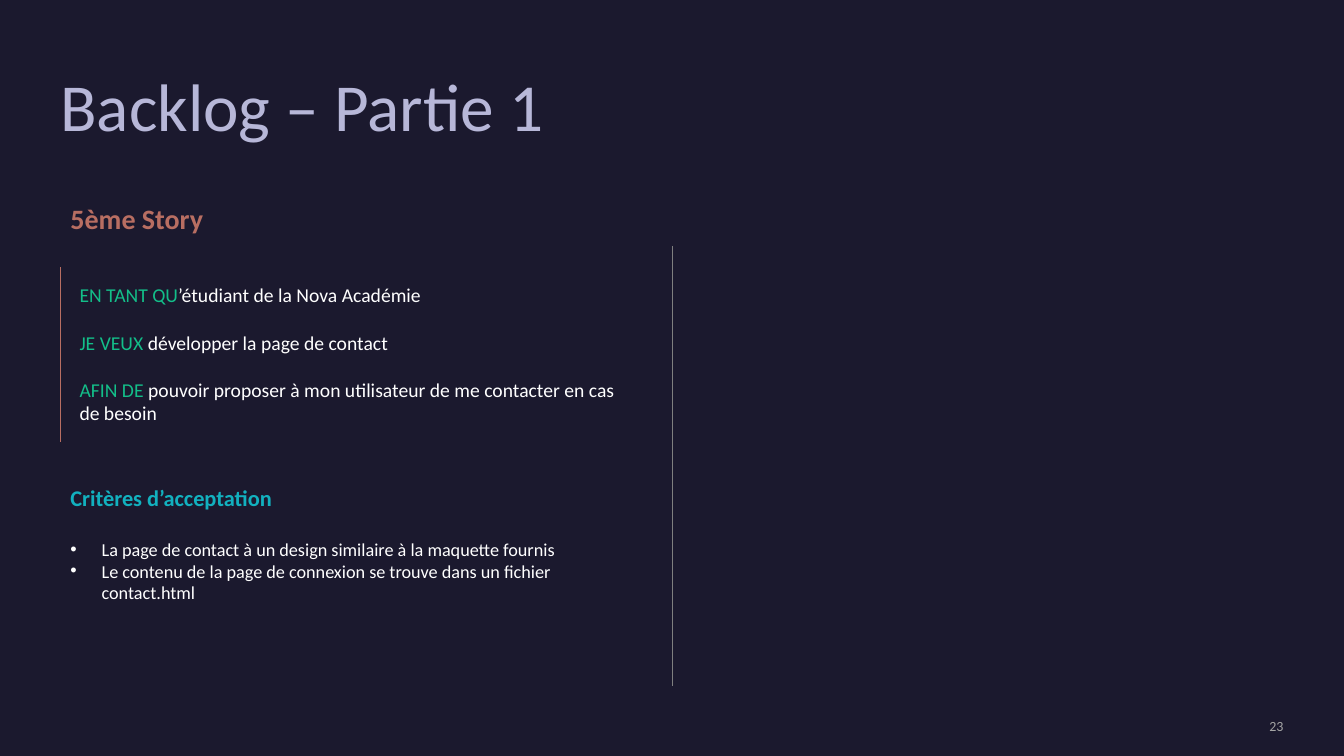
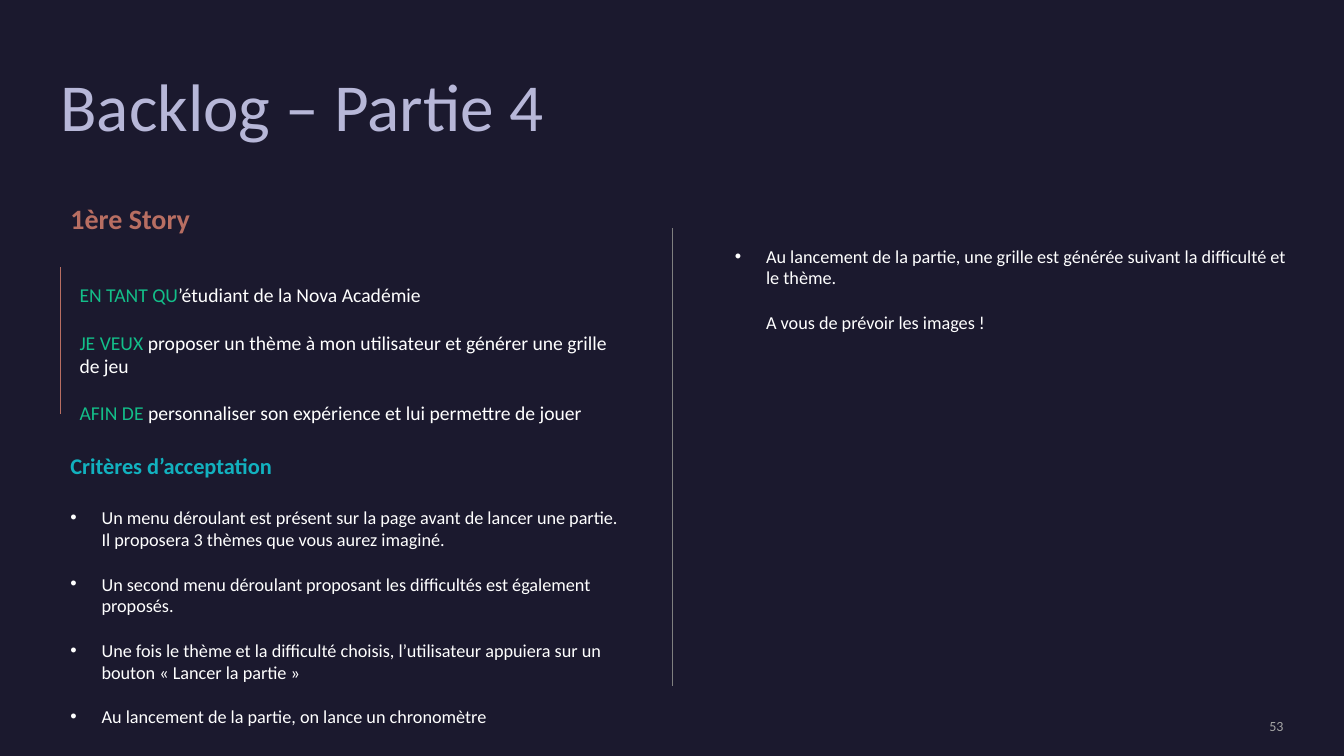
from pptx import Presentation
from pptx.dml.color import RGBColor
from pptx.enum.shapes import MSO_CONNECTOR
from pptx.enum.text import MSO_ANCHOR, PP_ALIGN
from pptx.oxml.ns import qn
from pptx.util import Inches, Pt
from lxml import etree

STRAIGHT = MSO_CONNECTOR.STRAIGHT
TOP, MIDDLE = MSO_ANCHOR.TOP, MSO_ANCHOR.MIDDLE
LEFT, RIGHT = PP_ALIGN.LEFT, PP_ALIGN.RIGHT


class Theme:
    font = "Calibri"
    back, title, text = "1B192E", "B7B7D8", "FFFFFF"
    story, key, head = "B86E62", "13BE89", "12B1BF"
    rule, page = "7F7F7F", "A5A5A5"
    # Text styles: size, colour, bold
    styles = {
        "title": (48, title, False),
        "page": (10, page, False),
        "story": (20, story, True),
        "key": (14, key, False),
        "wish": (14, text, False),
        "head": (16, head, True),
        "item": (13, text, False),
    }
    # Gaps before paragraphs, in points
    wish_gap, head_gap, item_gap = 17, 19.5, 16
    indent = 0.31


def write(slide, box, paras, pad=(0.1, 0.05), anchor=TOP, align=LEFT, pitch=None):
    """Add a text box; each paragraph is (gap, mark, runs), each run (style, text).

    mark is None for plain text, "" for indented text, or a bullet sign."""
    frame = slide.shapes.add_textbox(*map(Inches, box)).text_frame
    frame.word_wrap = True
    frame.vertical_anchor = anchor
    frame.margin_left = frame.margin_right = Inches(pad[0])
    frame.margin_top = frame.margin_bottom = Inches(pad[1])
    for i, (gap, mark, runs) in enumerate(paras):
        para = frame.add_paragraph() if i else frame.paragraphs[0]
        para.alignment = align
        if pitch:
            para.line_spacing = pitch
        if gap:
            para.space_before = Pt(gap)
        if mark is not None:
            props = para._p.get_or_add_pPr()
            props.set("marL", str(Inches(Theme.indent)))
            props.set("indent", str(-Inches(Theme.indent) if mark else 0))
            if mark:
                tint = etree.SubElement(props, qn("a:buClr"))
                etree.SubElement(tint, qn("a:srgbClr")).set("val", Theme.text)
                etree.SubElement(props, qn("a:buFont")).set("typeface", "Arial")
                etree.SubElement(props, qn("a:buChar")).set("char", mark)
        for style, text in runs:
            size, color, bold = Theme.styles[style]
            run = para.add_run()
            run.text = text
            run.font.name = Theme.font
            run.font.size = Pt(size)
            run.font.bold = bold
            run.font.color.rgb = RGBColor.from_string(color)


def draw_rule(slide, x, top, end, color, width):
    """Add a vertical line."""
    line = slide.shapes.add_connector(
        STRAIGHT, Inches(x), Inches(top), Inches(x), Inches(end))
    line.line.color.rgb = RGBColor.from_string(color)
    line.line.width = Pt(width)
    etree.SubElement(line._element.spPr, qn("a:effectLst"))


# Content of the slides
stories = [
    {
        "title": "Backlog – Partie 1", "page": "23", "story": "5ème Story",
        "want": "développer la page de contact",
        "goal": "pouvoir proposer à mon utilisateur de me contacter en cas de besoin",
        "bar_end": 4.39, "list_top": 4.75, "list_high": 1.51,
        "rule_top": 2.44, "gap": 0,
        "items": [
            "La page de contact à un design similaire à la maquette fournis",
            "Le contenu de la page de connexion se trouve dans un fichier contact.html",
        ],
        "more": [],
    },
    {
        "title": "Backlog – Partie 4", "page": "53", "story": "1ère Story",
        "want": "proposer un thème à mon utilisateur et générer une grille de jeu",
        "goal": "personnaliser son expérience et lui permettre de jouer",
        "bar_end": 4.11, "list_top": 4.44, "list_high": 3.05,
        "rule_top": 2.26, "gap": Theme.item_gap,
        "items": [
            "Un menu déroulant est présent sur la page avant de lancer une partie. "
            "Il proposera 3 thèmes que vous aurez imaginé.",
            "Un second menu déroulant proposant les difficultés est également proposés.",
            "Une fois le thème et la difficulté choisis, l’utilisateur appuiera sur un "
            "bouton « Lancer la partie »",
            "Au lancement de la partie, on lance un chronomètre",
        ],
        "more": [
            ("•", "Au lancement de la partie, une grille est générée suivant la "
                  "difficulté et le thème."),
            ("", "A vous de prévoir les images !"),
        ],
    },
]

# Deck with one shared background
deck = Presentation()
deck.slide_width, deck.slide_height = Inches(13.33), Inches(7.5)
fill = deck.slide_master.background.fill
fill.solid()
fill.fore_color.rgb = RGBColor.from_string(Theme.back)
blank = deck.slide_layouts[6]

for data in stories:
    slide = deck.slides.add_slide(blank)

    # Title and page number
    write(slide, (0.6, 0.73, 9.84, 1.71), [(0, None, [("title", data["title"])])],
          pad=(0, 0), pitch=0.9)
    write(slide, (10.88, 7.12, 1.85, 0.17), [(0, None, [("page", data["page"])])],
          pad=(0, 0), anchor=MIDDLE, align=RIGHT)

    # Story
    write(slide, (0.6, 1.95, 6.41, 0.44), [(0, None, [("story", data["story"])])])
    wishes = [
        ("EN TANT QU", "’étudiant de la Nova Académie"),
        ("JE VEUX ", data["want"]),
        ("AFIN DE ", data["goal"]),
    ]
    write(slide, (0.69, 2.76, 5.58, 1.51),
          [(Theme.wish_gap if i else 0, None, [("key", key), ("wish", wish)])
           for i, (key, wish) in enumerate(wishes)])
    draw_rule(slide, 0.6, 2.65, data["bar_end"], Theme.story, 1)

    # Acceptance criteria
    paras = [(0, None, [("head", "Critères d’acceptation")])]
    for i, item in enumerate(data["items"]):
        gap = data["gap"] if i else Theme.head_gap
        paras.append((gap, "•", [("item", item)]))
    write(slide, (0.6, data["list_top"], 5.67, data["list_high"]), paras)

    # Middle rule and right column
    draw_rule(slide, 6.67, data["rule_top"], 6.81, Theme.rule, 0.75)
    if data["more"]:
        write(slide, (7.19, 2.38, 5.67, 0.98),
              [(Theme.item_gap if i else 0, mark, [("item", text)])
               for i, (mark, text) in enumerate(data["more"])])

deck.save("out.pptx")
